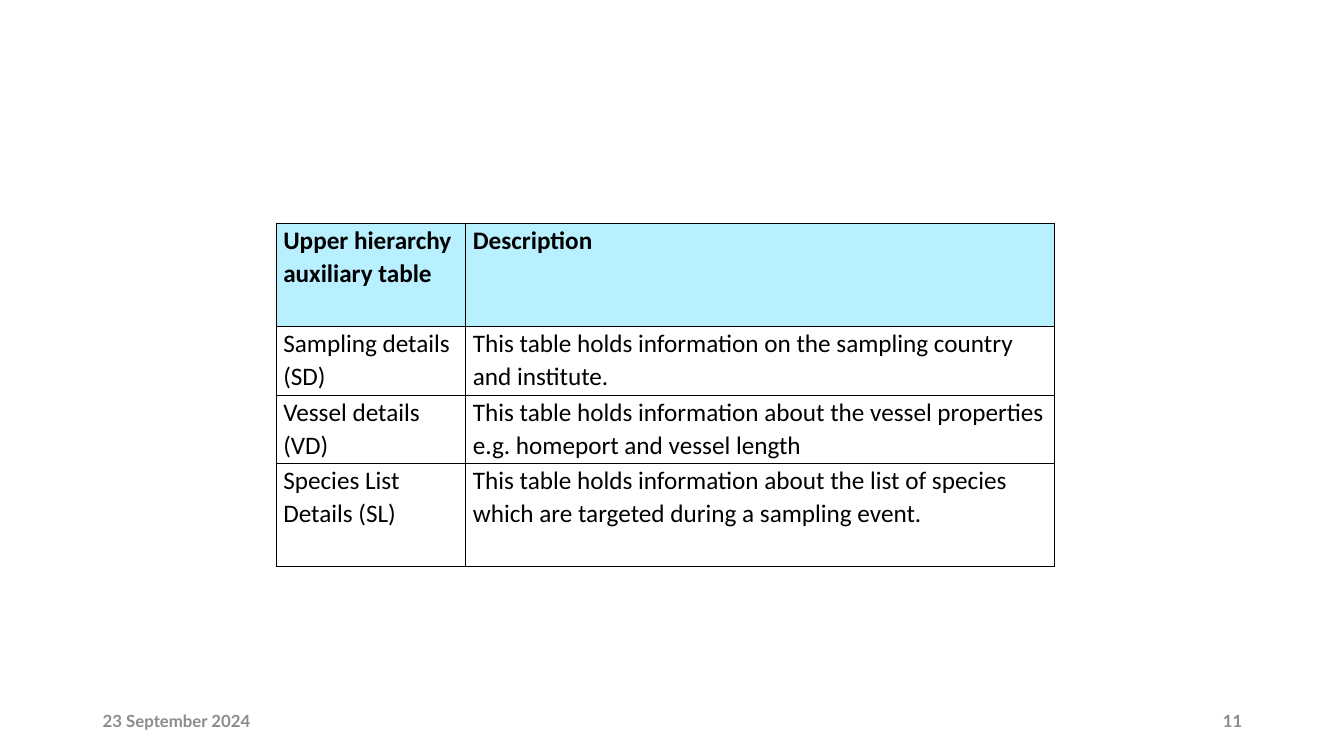
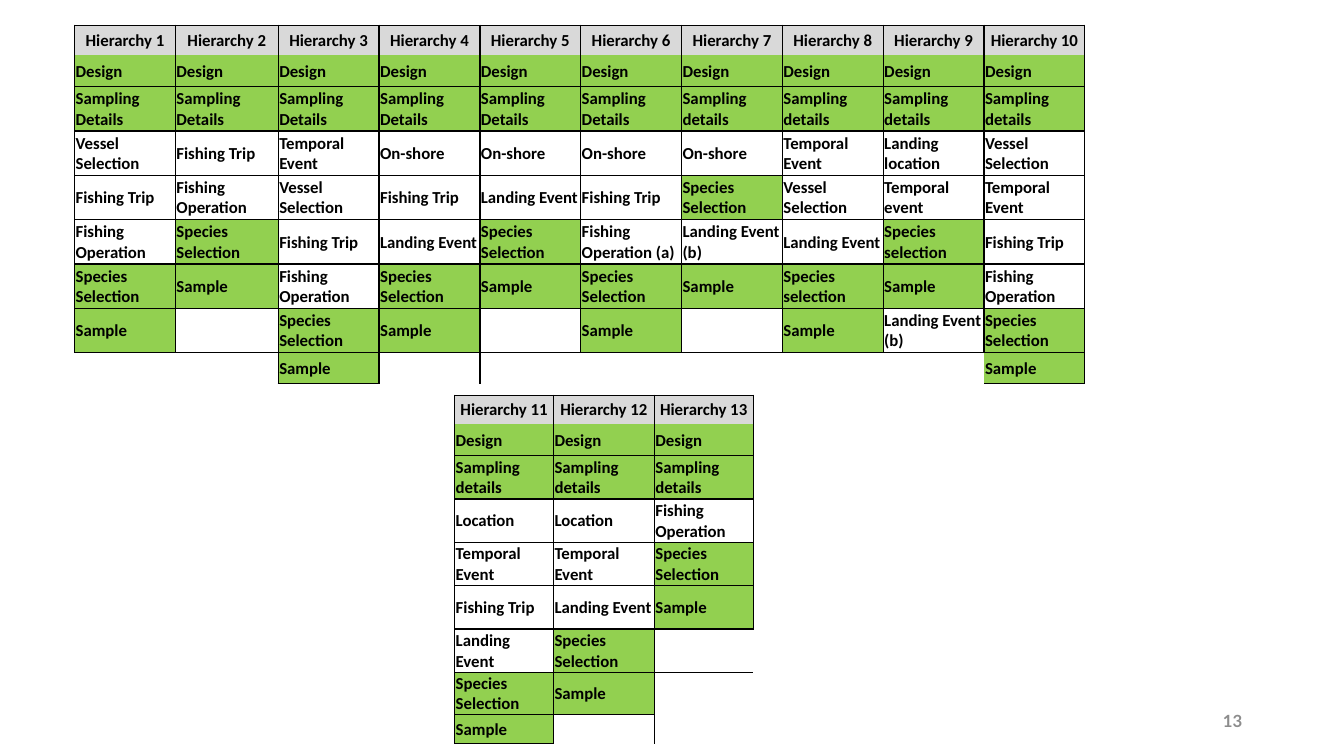
from itertools import zip_longest

from lxml import etree
from pptx import Presentation
from pptx.dml.color import RGBColor
from pptx.enum.text import MSO_ANCHOR, PP_ALIGN
from pptx.oxml.ns import qn
from pptx.util import Inches, Pt

LEFT, CENTER, RIGHT = PP_ALIGN.LEFT, PP_ALIGN.CENTER, PP_ALIGN.RIGHT
TOP, MIDDLE = MSO_ANCHOR.TOP, MSO_ANCHOR.MIDDLE
BLANK_LAYOUT = 6
PLAIN_TABLE_STYLE = "{2D5ABB26-0587-4C30-8999-92F81FD0307C}"
COLORS = {
    "text": "000000",
    "footer": "8C8C8C",
    "description_header": "B8F0FF",
    "hierarchy_header": "D9D9D9",
    "mandatory": "92D050",
}
TABLE_FONT, FOOTER_FONT = "Calibri", "Lato"
MANDATORY_STARTS = ("Design", "Sampl", "Species")
# Offset of the neighbouring cell (row, column) across each border
NEIGHBOURS = {"lnL": (0, -1), "lnR": (0, 1), "lnT": (-1, 0), "lnB": (1, 0)}

AUXILIARY_ROWS = [
    ("Upper hierarchy auxiliary table", "Description"),
    ("Sampling details (SD)",
     "This table holds information on the sampling country and institute."),
    ("Vessel details (VD)",
     "This table holds information about the vessel properties e.g. homeport and vessel length"),
    ("Species List Details (SL)",
     "This table holds information about the list of species which are targeted during a sampling event."),
]

# Each hierarchy lists its levels from the third row on
FIRST_HIERARCHIES = [
    ["Sampling Details", "Vessel Selection", "Fishing Trip", "Fishing Operation",
     "Species Selection", "Sample"],
    ["Sampling Details", "Fishing Trip", "Fishing Operation", "Species Selection", "Sample"],
    ["Sampling Details", "Temporal Event", "Vessel Selection", "Fishing Trip",
     "Fishing Operation", "Species Selection", "Sample"],
    ["Sampling Details", "On-shore", "Fishing Trip", "Landing Event",
     "Species Selection", "Sample"],
    ["Sampling Details", "On-shore", "Landing Event", "Species Selection", "Sample"],
    ["Sampling Details", "On-shore", "Fishing Trip", "Fishing Operation (a)",
     "Species Selection", "Sample"],
    ["Sampling details", "On-shore", "Species Selection", "Landing Event (b)", "Sample"],
    ["Sampling details", "Temporal Event", "Vessel Selection", "Landing Event",
     "Species selection", "Sample"],
    ["Sampling details", "Landing location", "Temporal event", "Species selection",
     "Sample", "Landing Event (b)"],
    ["Sampling details", "Vessel Selection", "Temporal Event", "Fishing Trip",
     "Fishing Operation", "Species Selection", "Sample"],
]
LAST_HIERARCHIES = [
    ["Sampling details", "Location", "Temporal Event", "Fishing Trip", "Landing Event",
     "Species Selection", "Sample"],
    ["Sampling details", "Location", "Temporal Event", "Landing Event",
     "Species Selection", "Sample"],
    ["Sampling details", "Fishing Operation", "Species Selection", "Sample"],
]


def format_font(font, name, size, color, bold):
    font.name, font.size, font.bold = name, Pt(size), bold
    font.color.rgb = RGBColor.from_string(COLORS[color])


def add_footer(page, text, left, align):
    box = page.shapes.add_textbox(Inches(left), Inches(6.95), Inches(3), Inches(0.4))
    frame = box.text_frame
    frame.word_wrap = True
    frame.vertical_anchor = MIDDLE
    frame.text = text
    para = frame.paragraphs[0]
    para.alignment = align
    format_font(para.runs[0].font, FOOTER_FONT, 12, "footer", True)


def add_border(cell, side):
    line = etree.SubElement(cell._tc.get_or_add_tcPr(), qn("a:" + side), w=str(Pt(1)))
    fill = etree.SubElement(line, qn("a:solidFill"))
    etree.SubElement(fill, qn("a:srgbClr"), val=COLORS["text"])


def fill_cell(cell, color):
    if color:
        cell.fill.solid()
        cell.fill.fore_color.rgb = RGBColor.from_string(COLORS[color])
    else:
        cell.fill.background()


def write_cell(cell, text, size, bold, align, anchor, margins, spacing):
    cell.margin_left, cell.margin_top, cell.margin_right, cell.margin_bottom = map(Inches, margins)
    cell.vertical_anchor = anchor
    cell.text_frame.text = text
    para = cell.text_frame.paragraphs[0]
    para.alignment = align
    para.line_spacing = spacing
    for span in para.runs:
        format_font(span.font, TABLE_FONT, size, "text", bold)
    if not text:  # keeps empty cells from stretching their row
        etree.SubElement(para._p, qn("a:endParaRPr"), sz=str(size * 100))


def add_grid(page, left, top, widths, heights):
    frame = page.shapes.add_table(len(heights), len(widths), Inches(left), Inches(top),
                                  Inches(sum(widths)), Inches(sum(heights)))
    table = frame.table
    table._tbl.tblPr.find(qn("a:tableStyleId")).text = PLAIN_TABLE_STYLE
    table.first_row = table.horz_banding = False
    for column, width in zip(table.columns, widths):
        column.width = Inches(width)
    for row, height in zip(table.rows, heights):
        row.height = Inches(height)
    return table


def add_auxiliary_table(page):
    table = add_grid(page, 2.74, 2.22, [1.88, 5.84], [1.02, 0.68, 0.68, 1.02])
    for r, texts in enumerate(AUXILIARY_ROWS):
        for c, text in enumerate(texts):
            cell = table.cell(r, c)
            write_cell(cell, text, 18, r == 0, LEFT, TOP, (0.07, 0, 0.07, 0), 1.07)
            for side in NEIGHBOURS:
                add_border(cell, side)
            fill_cell(cell, "description_header" if r == 0 else None)


def hierarchy_color(r, text):
    if r == 0:
        return "hierarchy_header"
    return "mandatory" if text.startswith(MANDATORY_STARTS) else None


def add_hierarchy_table(page, left, top, widths, heights, hierarchies, first_number,
                        open_edges=()):
    columns = [[f"Hierarchy {number}", "Design", *levels]
               for number, levels in enumerate(hierarchies, first_number)]
    rows = list(zip_longest(*columns, fillvalue=""))
    texts = {(r, c): text for r, row in enumerate(rows) for c, text in enumerate(row)}
    table = add_grid(page, left, top, widths, heights)
    for (r, c), text in texts.items():
        cell = table.cell(r, c)
        write_cell(cell, text, 12, True, CENTER if r == 0 else LEFT, MIDDLE,
                   (0.01, 0.01, 0.01, 0), 1)
        # An edge is drawn when a cell beside it has text; headings join the row below
        for side, (down, across) in NEIGHBOURS.items():
            other = (r + down, c + across)
            joined = {r, other[0]} == {0, 1}
            is_open = {(r, c), other} in open_edges
            if (text or texts.get(other)) and not joined and not is_open:
                add_border(cell, side)
        fill_cell(cell, hierarchy_color(r, text))


def main():
    deck = Presentation()
    deck.slide_width, deck.slide_height = Inches(13.33), Inches(7.5)
    layout = deck.slide_layouts[BLANK_LAYOUT]

    # Auxiliary tables
    page = deck.slides.add_slide(layout)
    add_footer(page, "23 September 2024", 0.92, LEFT)
    add_footer(page, "11", 9.42, RIGHT)
    add_auxiliary_table(page)

    # Hierarchies
    page = deck.slides.add_slide(layout)
    add_footer(page, "13", 9.42, RIGHT)
    add_hierarchy_table(page, 0.74, 0.25, [1, 1.02] + [1] * 8,
                        [0.3, 0.31] + [0.44] * 6 + [0.31],
                        FIRST_HIERARCHIES, 1, open_edges=[{(8, 8), (8, 9)}])
    add_hierarchy_table(page, 4.51, 3.92, [0.98, 1, 0.98],
                        [0.29, 0.31] + [0.43] * 5 + [0.42, 0.29],
                        LAST_HIERARCHIES, 11)

    deck.save("out.pptx")


if __name__ == "__main__":
    main()
